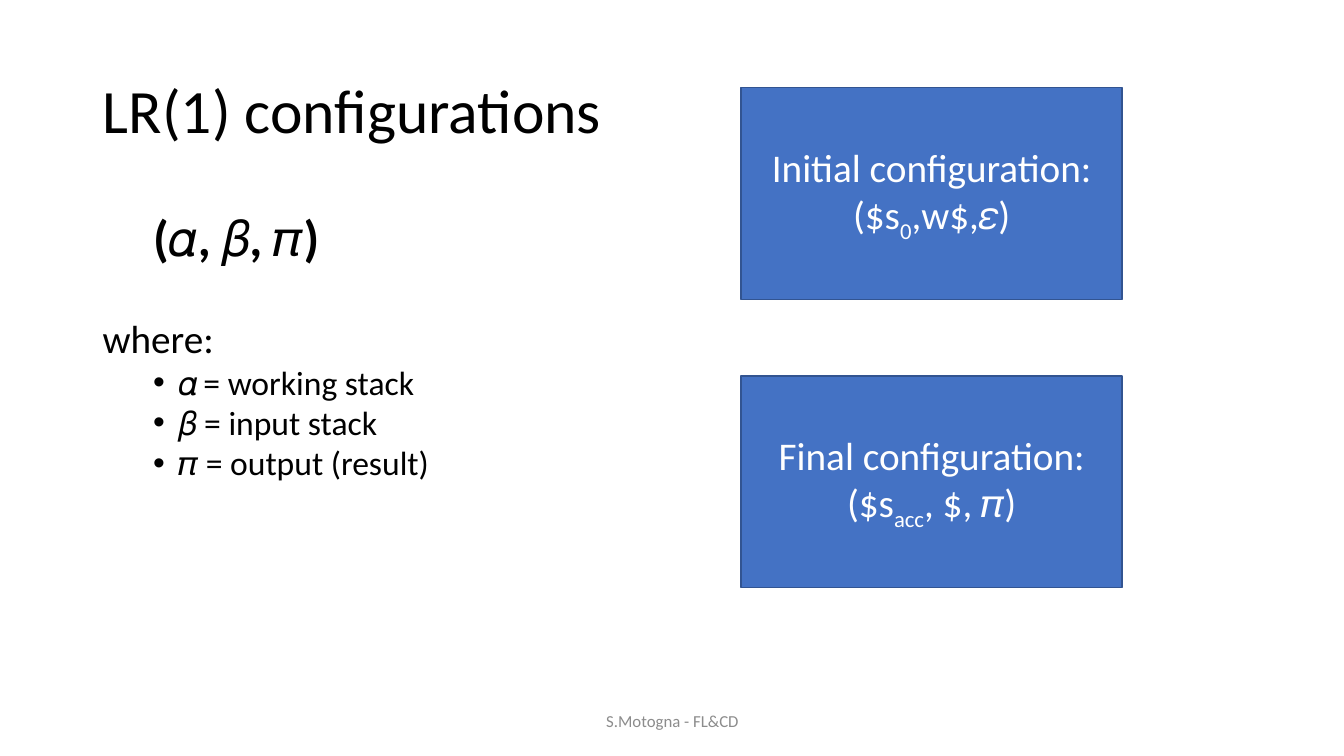
from pptx import Presentation
from pptx.dml.color import RGBColor
from pptx.enum.shapes import MSO_SHAPE
from pptx.enum.text import MSO_ANCHOR, PP_ALIGN
from pptx.oxml.ns import qn
from pptx.util import Inches, Pt
from lxml.etree import SubElement


def color(value):
    return RGBColor.from_string(value)


def add_span(para, text, ink, **formats):
    """Add a Calibri run with the given font values."""
    span = para.add_run()
    span.text = text
    span.font.color.rgb = color(ink)
    for name, value in {"name": "Calibri", **formats}.items():
        setattr(span.font, name, value)
    return span


deck = Presentation()
deck.slide_width, deck.slide_height = Inches(13.33), Inches(7.5)
page = deck.slides.add_slide(deck.slide_layouts[5])

# Title
title = page.shapes.title
title.left, title.top = Inches(0.92), Inches(0.4)
title.width, title.height = Inches(11.5), Inches(1.45)
title.text_frame.vertical_anchor = MSO_ANCHOR.MIDDLE
para = title.text_frame.paragraphs[0]
para.alignment = PP_ALIGN.LEFT
para.line_spacing = 0.9
add_span(para, "LR(1) configurations", "000000", size=Pt(44))

# Definition of a configuration
body = page.shapes.add_textbox(Inches(0.92), Inches(2), Inches(11.5), Inches(4.76))
frame = body.text_frame
frame.word_wrap = True
para = frame.paragraphs[0]
add_span(para, "\t(𝛼, 𝛽, 𝜋)", "000000", size=Pt(36), bold=True)
para = frame.add_paragraph()
para.space_before = Pt(34)
add_span(para, "where:", "000000", size=Pt(28))

# Bulleted components
for text in ("𝛼\t= working stack", "𝛽 = input stack", "𝜋 = output (result)"):
    para = frame.add_paragraph()
    para.level = 1
    add_span(para, text, "000000", size=Pt(24))
    properties = para._p.get_or_add_pPr()
    properties.set("marL", str(Inches(0.75)))
    properties.set("indent", str(Inches(-0.25)))
    SubElement(properties, qn("a:buFont")).set("typeface", "Arial")
    SubElement(properties, qn("a:buChar")).set("char", "•")

# Configuration boxes: top, heading, subscript, rest of the triple
configurations = [
    (0.87, "Initial configuration:", "0", ",w$,𝜀)"),
    (3.73, "Final configuration:", "acc", ", $, 𝜋)"),
]
for top, heading, subscript, rest in configurations:
    box = page.shapes.add_shape(
        MSO_SHAPE.RECTANGLE, Inches(7.35), Inches(top), Inches(3.78), Inches(2.1))
    box.shadow.inherit = False
    box.fill.solid()
    box.fill.fore_color.rgb = color("4472C4")
    box.line.color.rgb = color("325491")
    box.line.width = Pt(1)
    frame = box.text_frame
    frame.word_wrap = True
    frame.vertical_anchor = MSO_ANCHOR.MIDDLE
    first, second = frame.paragraphs[0], frame.add_paragraph()
    first.alignment = second.alignment = PP_ALIGN.CENTER
    add_span(first, heading, "FFFFFF", size=Pt(28))
    add_span(second, "($s", "FFFFFF", size=Pt(28))
    span = add_span(second, subscript, "FFFFFF", size=Pt(28))
    span._r.get_or_add_rPr().set("baseline", "-25000")
    add_span(second, rest, "FFFFFF", size=Pt(28))

# Footer
footer = page.shapes.add_textbox(Inches(4.42), Inches(6.95), Inches(4.5), Inches(0.4))
footer.text_frame.word_wrap = True
footer.text_frame.vertical_anchor = MSO_ANCHOR.MIDDLE
para = footer.text_frame.paragraphs[0]
para.alignment = PP_ALIGN.CENTER
add_span(para, "S.Motogna - FL&CD", "8C8C8C", size=Pt(12))

deck.save("out.pptx")
